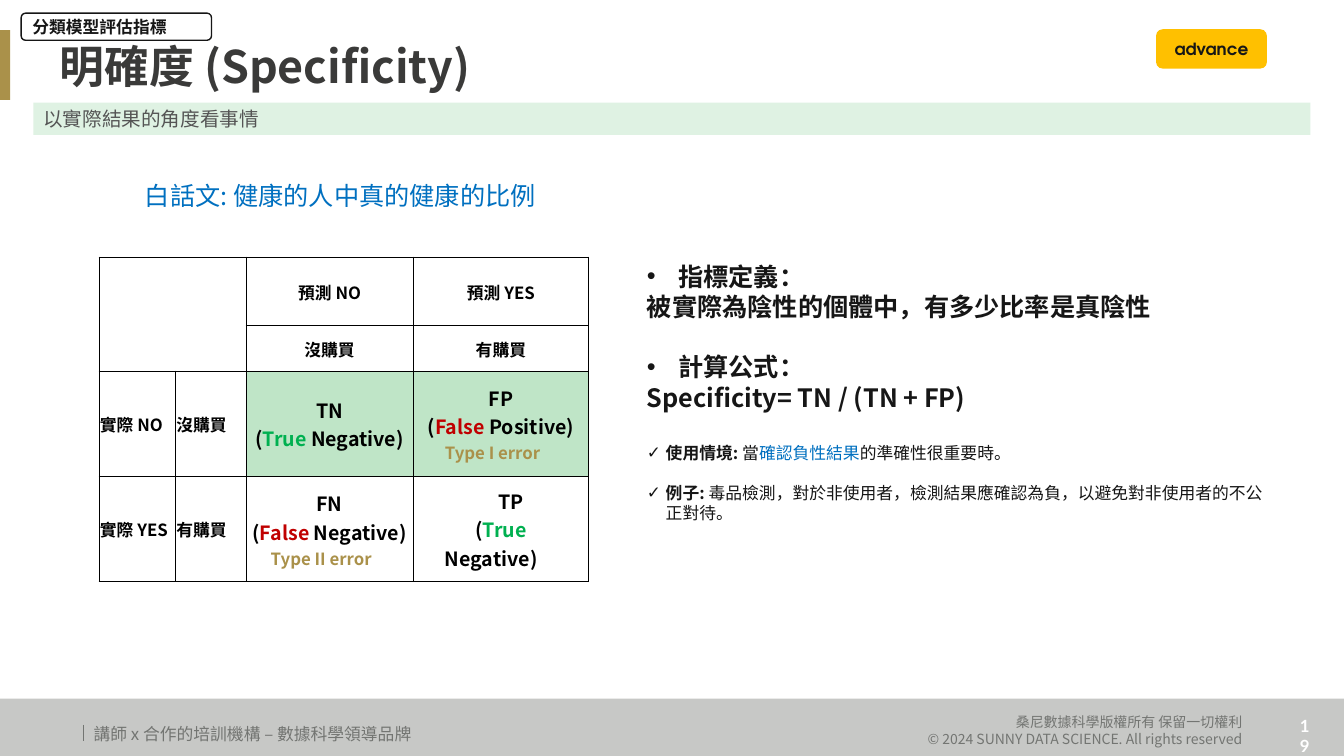
from lxml import etree
from pptx import Presentation
from pptx.dml.color import RGBColor
from pptx.enum.shapes import MSO_CONNECTOR, MSO_SHAPE
from pptx.enum.text import MSO_ANCHOR, MSO_AUTO_SIZE, PP_ALIGN
from pptx.oxml.ns import qn
from pptx.util import Pt

RECT = MSO_SHAPE.RECTANGLE
ROUND = MSO_SHAPE.ROUNDED_RECTANGLE
LINE = MSO_CONNECTOR.STRAIGHT
TOP, MID = MSO_ANCHOR.TOP, MSO_ANCHOR.MIDDLE
LEFT, MIDDLE, RIGHT = PP_ALIGN.LEFT, PP_ALIGN.CENTER, PP_ALIGN.RIGHT
FIXED = MSO_AUTO_SIZE.NONE

NOTO, LATO, GYRE = "Noto Sans CJK SC", "Lato", "TeX Gyre Adventor"
INK, BLACK, GREY, WHITE = "161616", "000000", "737572", "FFFFFF"
BLUE, GREEN, RED, GOLD = "0070C0", "00B050", "C00000", "AA914A"
MINT = "BFE5C7"


def rgb(code):
    return RGBColor.from_string(code)


def sub(node, tag, **attrs):
    return etree.SubElement(node, qn(tag), attrs)


class Deck:
    def __init__(self):
        self.file = Presentation()
        self.file.slide_width = Pt(960)
        self.file.slide_height = Pt(540)
        self.slide = self.file.slides.add_slide(self.file.slide_layouts[5])
        self.shapes = self.slide.shapes

    def para(self, para, runs, size=12, color=INK, bold=False, font=NOTO,
             align=LEFT, space=None, before=0, mark=None, hang=0):
        para.alignment = align
        if space:
            para.line_spacing = space
        para.space_before = Pt(before)
        if mark:
            props = para._p.get_or_add_pPr()
            props.set("marL", str(Pt(hang)))
            props.set("indent", str(-Pt(hang)))
            sub(props, "a:buFont", typeface="Arial")
            sub(props, "a:buChar", char=mark)
        face = para.font
        face.size, face.bold, face.name = Pt(size), bold, font
        face.color.rgb = rgb(color)
        sub(para._p.pPr.find(qn("a:defRPr")), "a:ea", typeface=NOTO)
        for part in [runs] if isinstance(runs, str) else runs:
            words, look = (part, {}) if isinstance(part, str) else part
            run = para.add_run()
            run.text = words
            if "color" in look:
                run.font.color.rgb = rgb(look["color"])
            if "bold" in look:
                run.font.bold = look["bold"]

    def fill_text(self, frame, rows, **style):
        for i, (runs, look) in enumerate(rows):
            para = frame.add_paragraph() if i else frame.paragraphs[0]
            self.para(para, runs, **{**style, **look})

    def title(self, words, x, y, w, h):
        box = self.shapes.title
        box.left, box.top, box.width, box.height = map(Pt, (x, y, w, h))
        frame = box.text_frame
        frame.auto_size, frame.vertical_anchor = FIXED, MID
        self.para(frame.paragraphs[0], words, size=32, color="3A3A39",
                  bold=True, space=0.9)

    def text(self, rows, x, y, w, h, size=12, **style):
        frame = self.shapes.add_textbox(*map(Pt, (x, y, w, h))).text_frame
        frame.word_wrap, frame.vertical_anchor = True, TOP
        rows = [(runs, {"space": Pt(look.get("size", size) * 1.2), **look})
                for runs, look in rows]
        self.fill_text(frame, rows, size=size, **style)

    def shape(self, kind, x, y, w, h, fill=None, line=None, words=None, **style):
        box = self.shapes.add_shape(kind, *map(Pt, (x, y, w, h)))
        box.shadow.inherit = False
        if fill:
            box.fill.solid()
            box.fill.fore_color.rgb = rgb(fill)
        else:
            box.fill.background()
        if line:
            box.line.color.rgb = rgb(line)
            box.line.width = Pt(1)
        else:
            box.line.fill.background()
        if words:
            box.text_frame.vertical_anchor = MID
            box.text_frame.word_wrap = True
            self.para(box.text_frame.paragraphs[0], words, **style)

    def line(self, x1, y1, x2, y2, color, width):
        line = self.shapes.add_connector(LINE, *map(Pt, (x1, y1, x2, y2)))
        line.line.color.rgb = rgb(color)
        line.line.width = Pt(width)
        sub(line._element.spPr, "a:effectLst")

    def cell(self, cell, rows, fill, align):
        cell.margin_left = cell.margin_right = cell.margin_top = Pt(0.75)
        cell.margin_bottom = 0
        cell.vertical_anchor = MID
        for side in "LRTB":
            edge = sub(cell._tc.get_or_add_tcPr(), f"a:ln{side}", w=str(Pt(0.5)))
            sub(sub(edge, "a:solidFill"), "a:srgbClr", val=BLACK)
        if fill:
            cell.fill.solid()
            cell.fill.fore_color.rgb = rgb(fill)
        else:
            cell.fill.background()
        self.fill_text(cell.text_frame, rows, color=BLACK, bold=True, align=align)

    def table(self, x, y, cols, tall, cells, fills):
        area = map(Pt, (x, y, sum(cols), sum(tall)))
        grid = self.shapes.add_table(len(tall), len(cols), *area).table
        grid.first_row = grid.horz_banding = False
        for col, size in zip(grid.columns, cols):
            col.width = Pt(size)
        for row, size in zip(grid.rows, tall):
            row.height = Pt(size)
        grid.cell(0, 0).merge(grid.cell(1, 1))
        for r, row in enumerate(cells):
            for c, rows in enumerate(row):
                align = LEFT if c < 2 else MIDDLE
                self.cell(grid.cell(r, c), rows, fills.get((r, c)), align)


def label(words):
    return [(words, {})]


def result(code, word, color, rest, note=None):
    rows = [(code, {"size": 14}),
            (["(", (word, {"color": color}), f" {rest})"], {"size": 14})]
    if note:
        rows.append((note + "　", {"color": GOLD}))
    return rows


def main():
    deck = Deck()
    deck.title("明確度 (Specificity)", 35.3, 18.7, 894.2, 61.2)

    deck.shape(RECT, 0, 499, 960, 41, fill="C7C8C6")
    deck.line(59.8, 517.7, 59.8, 529.2, GREY, 0.5)
    deck.text(label("19"), 918, 507.6, 28, 21.6, color=WHITE, bold=True,
              font=LATO, align=MIDDLE)
    rights = ["桑尼數據科學版權所有 保留一切權利",
              "© 2024 SUNNY DATA SCIENCE. All rights reserved"]
    deck.text([(words, {}) for words in rights], 553, 506.2, 341.3, 31.7,
              size=10, color=GREY, align=RIGHT)
    deck.text(label("講師 x 合作的培訓機構 – 數據科學領導品牌"),
              59.8, 513.4, 341.3, 21.6, color=GREY)

    deck.shape(RECT, -2.2, 21.6, 9.4, 49.7, fill=GOLD)
    deck.shape(RECT, 23.8, 73.4, 912.2, 23, fill="DFF2E3",
               words="以實際結果的角度看事情", size=14, color="555555")
    deck.shape(ROUND, 15.1, 9.4, 136, 19.4, line=INK,
               words="分類模型評估指標", bold=True, font=GYRE)
    deck.shape(ROUND, 825.8, 20.9, 79.2, 28.1, fill="FFC000",
               words="advance", bold=True, font=GYRE, align=MIDDLE)

    true_pos = [("　TP", {"size": 14}),
                (["(", ("True", {"color": GREEN})], {"size": 14}),
                ("Negative)　", {"size": 14})]
    cells = [
        [[], [], label("預測 NO"), label("預測 YES")],
        [[], [], label("沒購買"), label("有購買")],
        [label("實際 NO"), label("沒購買"),
         result("TN", "True", GREEN, "Negative"),
         result("FP", "False", RED, "Positive", "Type I error")],
        [label("實際 YES"), label("有購買"),
         result("FN", "False", RED, "Negative", "Type II error"),
         true_pos],
    ]
    deck.table(70.6, 183.6, [54.7, 50.4, 119.5, 125.3], [49, 32.4, 75.2, 75.2],
               cells, {(2, 2): MINT, (2, 3): MINT})

    head = {"mark": "•", "hang": 22.5}
    tick = {"mark": "✓", "hang": 13.5, "size": 12, "bold": False}
    strong = {"bold": True}
    deck.text([
        ("指標定義：", head),
        ("被實際為陰性的個體中，有多少比率是真陰性", {}),
        ("計算公式：", {**head, "before": 21.6}),
        ("Specificity= TN / (TN + FP)", {}),
        ([("使用情境: ", strong), "當", ("確認負性結果", {"color": BLUE}),
          "的準確性很重要時。"], {**tick, "before": 21.6}),
        ([("例子: ", strong),
          "毒品檢測，對於非使用者，檢測結果應確認為負，以避免對非使用者的不公正對待。"],
         {**tick, "before": 14.4}),
    ], 455, 182.9, 457.9, 218.2, size=18, bold=True)
    deck.text(label("白話文: 健康的人中真的健康的比例"), 96.5, 125.3, 297.4, 28.8,
              size=18, color=BLUE)

    deck.file.save("out.pptx")


if __name__ == "__main__":
    main()
